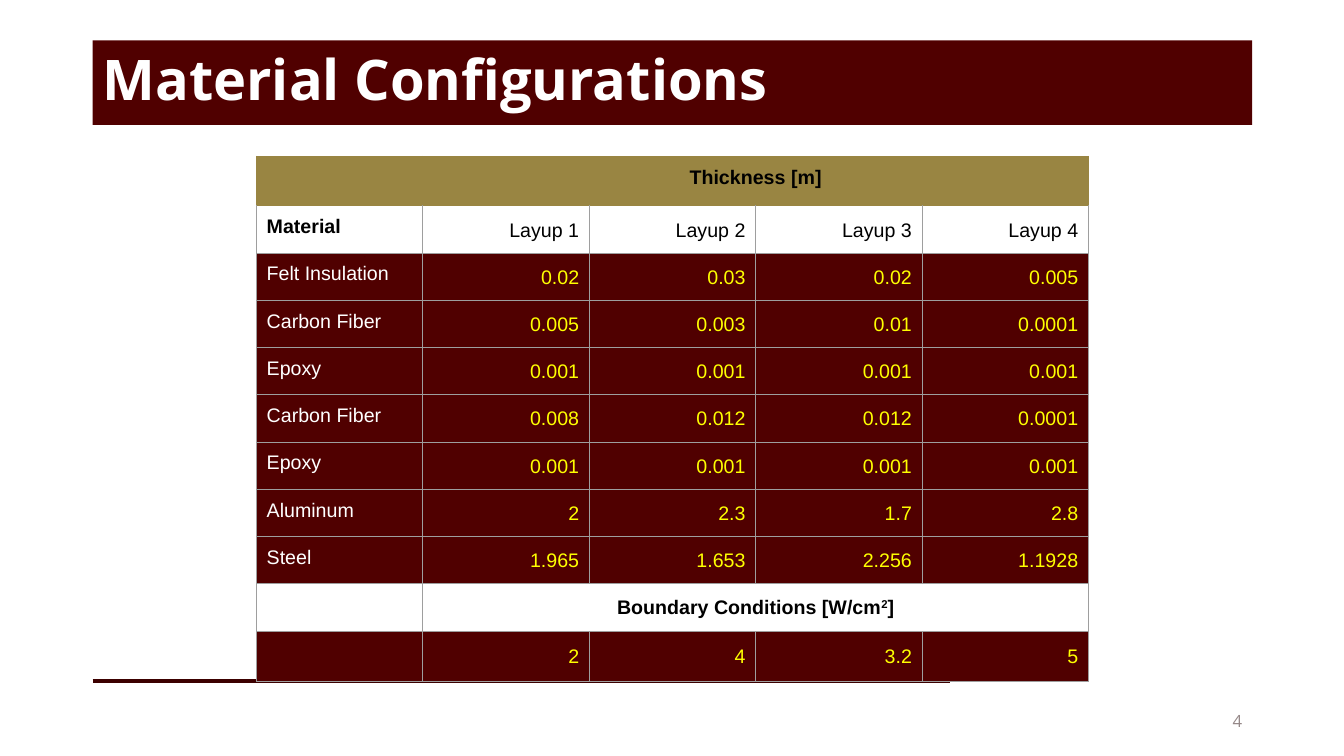
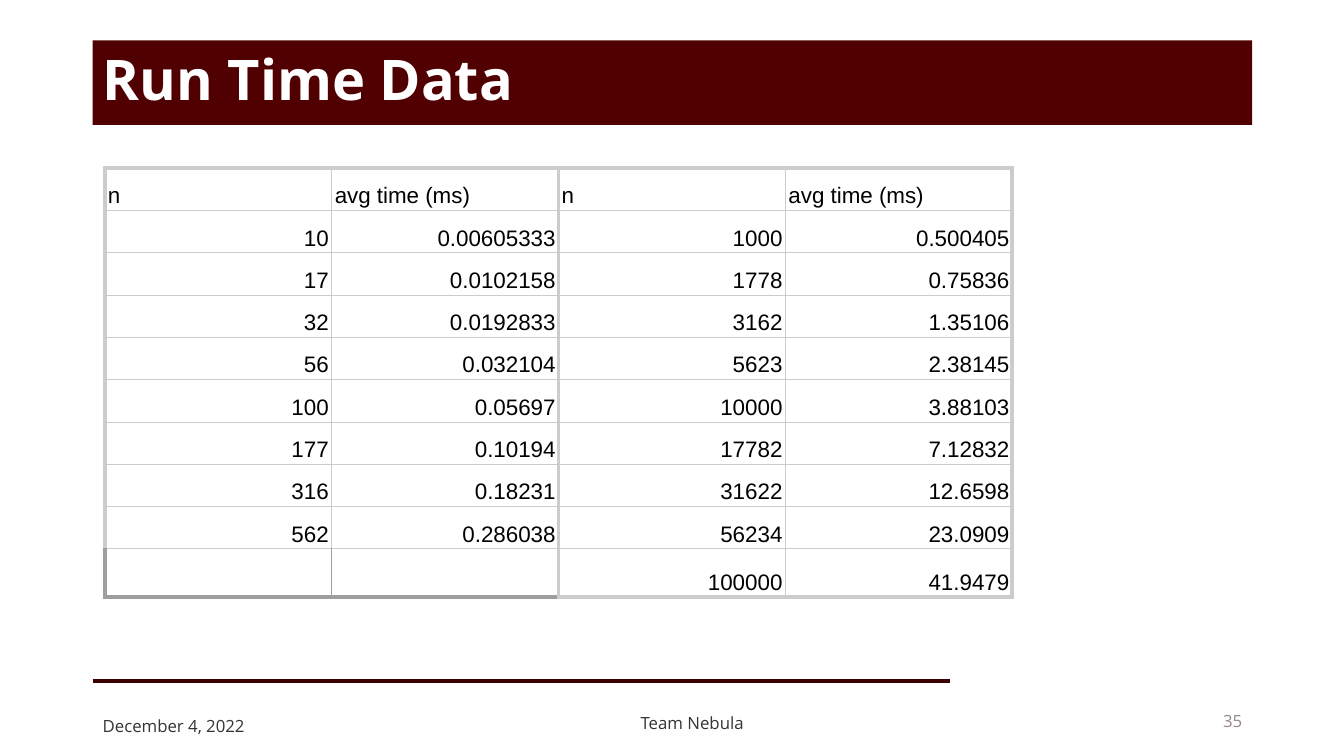
import lxml.etree
import pptx
import pptx.dml.color
import pptx.enum.shapes
import pptx.enum.text
import pptx.oxml.ns
import pptx.util

COLORS = {
    "maroon": "500000", "rule": "3C0000", "gold": "998542", "white": "FFFFFF",
    "black": "000000", "yellow": "FFFF00", "footer": "333333",
    "number": "958888", "gray": "9E9E9E", "silver": "CCCCCC",
}
TITLE_FONT, TABLE_FONT = "Open Sans", "Arial"
ALIGN = pptx.enum.text.PP_ALIGN
ANCHOR = pptx.enum.text.MSO_ANCHOR

# Grid in inches: 23 columns across the content, rows counted from the title band
SLIDE_WIDTH, SLIDE_HEIGHT = 13.33, 7.5
MARGIN_LEFT, MARGIN_TOP = 0.92, 0.4
COLUMN, ROW = 0.5, 0.42
GRID_COLUMNS = 23
THIN, THICK = 0.75, 3

LAYUP_ROWS = [
    ("Felt Insulation", "0.02", "0.03", "0.02", "0.005"),
    ("Carbon Fiber", "0.005", "0.003", "0.01", "0.0001"),
    ("Epoxy", "0.001", "0.001", "0.001", "0.001"),
    ("Carbon Fiber", "0.008", "0.012", "0.012", "0.0001"),
    ("Epoxy", "0.001", "0.001", "0.001", "0.001"),
    ("Aluminum", "2", "2.3", "1.7", "2.8"),
    ("Steel", "1.965", "1.653", "2.256", "1.1928"),
]
BOUNDARY_VALUES = ("", "2", "4", "3.2", "5")
RUN_TIMES = [
    ("n", "avg time (ms)", "n", "avg time (ms)"),
    ("10", "0.00605333", "1000", "0.500405"),
    ("17", "0.0102158", "1778", "0.75836"),
    ("32", "0.0192833", "3162", "1.35106"),
    ("56", "0.032104", "5623", "2.38145"),
    ("100", "0.05697", "10000", "3.88103"),
    ("177", "0.10194", "17782", "7.12832"),
    ("316", "0.18231", "31622", "12.6598"),
    ("562", "0.286038", "56234", "23.0909"),
    ("", "", "100000", "41.9479"),
]


def rgb(name):
    return pptx.dml.color.RGBColor.from_string(COLORS[name])


def grid_x(column):
    return pptx.util.Inches(MARGIN_LEFT + column * COLUMN)


def grid_y(row):
    return pptx.util.Inches(MARGIN_TOP + row * ROW)


def grid_box(column, row, columns, rows):
    return (grid_x(column), grid_y(row),
            pptx.util.Inches(columns * COLUMN), pptx.util.Inches(rows * ROW))


def write(paragraph, text, font_name, size, color, bold=False,
          align=ALIGN.LEFT, spacing=1.0):
    """Fill a paragraph; text between carets is superscript."""
    paragraph.alignment = align
    paragraph.line_spacing = spacing
    font = paragraph.font
    font.name, font.size, font.bold = font_name, pptx.util.Pt(size), bold
    font.color.rgb = rgb(color)
    for index, part in enumerate(text.split("^")):
        if part:
            run = paragraph.add_run()
            run.text = part
            if index % 2:
                run.font._element.set("baseline", "30000")


# Parts shared by the slides
def add_title(slide, text):
    band = slide.shapes.add_shape(pptx.enum.shapes.MSO_SHAPE.RECTANGLE,
                                  *grid_box(0, 0, GRID_COLUMNS, 2))
    band.shadow.inherit = False
    band.fill.solid()
    band.fill.fore_color.rgb = rgb("maroon")
    band.line.fill.background()
    band.text_frame.word_wrap = True
    band.text_frame.vertical_anchor = ANCHOR.MIDDLE
    write(band.text_frame.paragraphs[0], text, TITLE_FONT, 40, "white",
          bold=True, spacing=0.9)


def add_rule(slide):
    rule = slide.shapes.add_connector(
        pptx.enum.shapes.MSO_CONNECTOR.STRAIGHT,
        grid_x(0), grid_y(15.14), grid_x(17), grid_y(15.14))
    rule.line.color.rgb = rgb("rule")
    rule.line.width = pptx.util.Pt(THICK)
    lxml.etree.SubElement(rule._element.spPr, pptx.oxml.ns.qn("a:effectLst"))


def add_footer(slide, text, column, columns, align, color="footer",
               row=15.6, anchor=ANCHOR.MIDDLE, spacing=1.0):
    box = slide.shapes.add_textbox(*grid_box(column, row, columns, 0.95))
    box.text_frame.word_wrap = True
    box.text_frame.vertical_anchor = anchor
    write(box.text_frame.paragraphs[0], text, TITLE_FONT, 12, color,
          align=align, spacing=spacing)


def add_base_slide(presentation, title, number):
    slide = presentation.slides.add_slide(presentation.slide_layouts[6])
    add_rule(slide)
    add_title(slide, title)
    add_footer(slide, number, 17, 6, ALIGN.RIGHT, "number")
    return slide


# Tables
def add_grid_table(slide, column, row, column_widths, row_heights):
    box = grid_box(column, row, sum(column_widths), sum(row_heights))
    table = slide.shapes.add_table(len(row_heights), len(column_widths), *box).table
    table.first_row = table.horz_banding = False
    for table_column, width in zip(table.columns, column_widths):
        table_column.width = pptx.util.Inches(width * COLUMN)
    for table_row, height in zip(table.rows, row_heights):
        table_row.height = pptx.util.Inches(height * ROW)
    return table


def style_cell(cell, borders, fill=None, margins=(0.1, 0.1), anchor=ANCHOR.TOP):
    """Borders map each side (L, R, T, B) to a colour name and a width."""
    properties = cell._tc.get_or_add_tcPr()
    for side in "LRTB":
        color, width = borders[side]
        line = lxml.etree.SubElement(properties, pptx.oxml.ns.qn("a:ln" + side),
                                     w=str(pptx.util.Pt(width)))
        solid = lxml.etree.SubElement(line, pptx.oxml.ns.qn("a:solidFill"))
        lxml.etree.SubElement(solid, pptx.oxml.ns.qn("a:srgbClr"), val=COLORS[color])
    if fill:
        cell.fill.solid()
        cell.fill.fore_color.rgb = rgb(fill)
    else:
        cell.fill.background()
    cell.margin_left = cell.margin_right = pptx.util.Inches(margins[0])
    cell.margin_top = cell.margin_bottom = pptx.util.Inches(margins[1])
    cell.vertical_anchor = anchor


def add_layup_table(slide):
    rows = [
        ("", "Thickness [m]", "", "", ""),
        ("Material", "Layup 1", "Layup 2", "Layup 3", "Layup 4"),
        *LAYUP_ROWS,
        ("", "Boundary Conditions [W/cm^2^]", "", "", ""),
        BOUNDARY_VALUES,
    ]
    boundary = len(rows) - 2
    widths = [3.3] * 5
    heights = [1.17] + [1.07] * (boundary - 1) + [1.14, 1.17]
    table = add_grid_table(slide, (GRID_COLUMNS - sum(widths)) / 2, 2.74,
                           widths, heights)
    for row in (0, boundary):
        table.cell(row, 1).merge(table.cell(row, 4))
    fills = {0: "gold", 1: None, boundary: "white"}
    for row, values in enumerate(rows):
        borders = dict.fromkeys("LRTB", ("gold" if row == 0 else "gray", THIN))
        if row == 1:
            borders["T"] = ("gold", THIN)
        is_header = row in fills
        for column, text in enumerate(values):
            cell = table.cell(row, column)
            style_cell(cell, borders, fills.get(row, "maroon"))
            if cell.is_spanned:
                continue
            if cell.is_merge_origin:
                align = ALIGN.CENTER
            else:
                align = ALIGN.RIGHT if column else ALIGN.LEFT
            body_color = "yellow" if column else "white"
            write(cell.text_frame.paragraphs[0], text, TABLE_FONT, 14,
                  "black" if is_header else body_color,
                  bold=cell.is_merge_origin or text == "Material", align=align,
                  spacing=1.15 if row and column else 1.0)


def run_time_borders(row, column, last_row):
    """Thick lines frame each pair of columns; the empty pair ends in gray."""
    first_of_pair = column % 2 == 0
    borders = {
        "L": ("silver", THICK if first_of_pair else THIN),
        "R": ("silver", THIN if first_of_pair else THICK),
        "T": ("silver", THICK if row == 0 else THIN),
        "B": ("silver", THICK if row == last_row else THIN),
    }
    if row == last_row and column < 2:
        for side in "LRB" if column == 0 else "LB":
            borders[side] = ("gray", borders[side][1])
    return borders


def add_run_time_table(slide):
    last_row = len(RUN_TIMES) - 1
    table = add_grid_table(slide, 0.24, 3.02, [4.5] * 4, [1] * last_row + [1.14])
    for row, values in enumerate(RUN_TIMES):
        for column, text in enumerate(values):
            cell = table.cell(row, column)
            style_cell(cell, run_time_borders(row, column, last_row),
                       margins=(0.03, 0.02), anchor=ANCHOR.BOTTOM)
            write(cell.text_frame.paragraphs[0], text, TABLE_FONT, 16, "black",
                  align=ALIGN.RIGHT if row else ALIGN.LEFT, spacing=1.15)


def main():
    presentation = pptx.Presentation()
    presentation.slide_width = pptx.util.Inches(SLIDE_WIDTH)
    presentation.slide_height = pptx.util.Inches(SLIDE_HEIGHT)

    # Material layups
    add_layup_table(add_base_slide(presentation, "Material Configurations", "4"))

    # Run times
    slide = add_base_slide(presentation, "Run Time Data", "35")
    add_footer(slide, "December 4, 2022", 0, 6, ALIGN.LEFT,
               anchor=ANCHOR.TOP, spacing=1.5)
    add_footer(slide, "Team Nebula", 7, 9.78, ALIGN.CENTER, row=15.64)
    add_run_time_table(slide)

    presentation.save("out.pptx")


if __name__ == "__main__":
    main()
